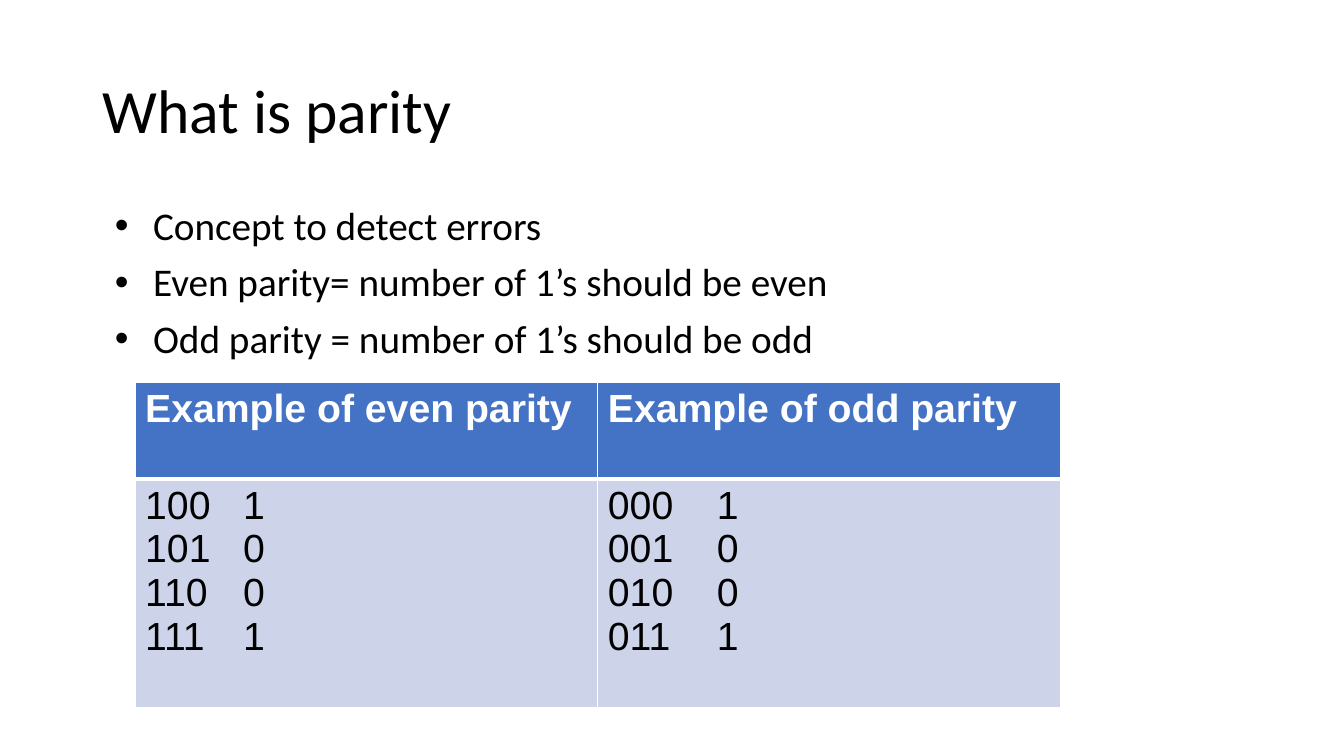
from lxml.etree import SubElement
from pptx import Presentation
from pptx.dml.color import RGBColor
from pptx.enum.text import MSO_ANCHOR as Anchor
from pptx.oxml.ns import qn
from pptx.util import Inches, Pt


def color(value):
    """Turn a hex string into a colour."""
    return RGBColor.from_string(value)


def add_text(p, text, size=28, font="Calibri", fill="000000", bold=False):
    """Write one formatted run into a paragraph."""
    r = p.add_run()
    r.text = text
    r.font.size, r.font.name, r.font.bold = Pt(size), font, bold
    r.font.color.rgb = color(fill)


def add_box(slide, box, anchor=Anchor.TOP):
    """Add a wrapping text box and return its text frame."""
    tf = slide.shapes.add_textbox(*map(Inches, box)).text_frame
    tf.word_wrap = True
    tf.vertical_anchor = anchor
    return tf


def add_lines(tf, lines, **fmt):
    """Fill a text frame with one paragraph per line."""
    for i, line in enumerate(lines):
        p = tf.add_paragraph() if i else tf.paragraphs[0]
        add_text(p, line, **fmt)
    return tf.paragraphs


def add_title(slide, box, text):
    """Place the slide title."""
    for p in add_lines(add_box(slide, box, Anchor.MIDDLE), [text], size=44):
        p.line_spacing = 0.9


def add_bullets(slide, box, lines):
    """Place the bulleted list."""
    for p in add_lines(add_box(slide, box), lines):
        p.line_spacing = 0.9
        p.space_before = Pt(10)
        pPr = p._p.get_or_add_pPr()
        pPr.set("marL", str(Inches(0.5)))
        pPr.set("indent", str(Inches(-0.38)))
        SubElement(pPr, qn("a:buFont"), typeface="Arial")
        SubElement(pPr, qn("a:buChar"), char="•")


def set_borders(cell, widths):
    """Give a cell white borders of the given point widths."""
    tcPr = cell._tc.get_or_add_tcPr()
    for i, (side, width) in enumerate(widths.items()):
        ln = SubElement(tcPr, qn(f"a:ln{side}"), w=str(Pt(width)))
        SubElement(SubElement(ln, qn("a:solidFill")), qn("a:srgbClr"), val="FFFFFF")
        tcPr.insert(i, ln)


def set_tab(p, position):
    """Put one left tab stop in a paragraph."""
    tabs = SubElement(p._p.get_or_add_pPr(), qn("a:tabLst"))
    SubElement(tabs, qn("a:tab"), pos=str(Inches(position)), algn="l")


def add_parity_table(slide, box, heights, columns):
    """Place the table of data bits and their parity bits."""
    table = slide.shapes.add_table(2, len(columns), *map(Inches, box)).table
    for row, height in zip(table.rows, heights):
        row.height = Inches(height)
    for c, (heading, tab, examples) in enumerate(columns):
        table.columns[c].width = Inches(box[2] / len(columns))
        head, body = table.cell(0, c), table.cell(1, c)
        for cell, fill in ((head, "4472C4"), (body, "CDD4EA")):
            cell.fill.solid()
            cell.fill.fore_color.rgb = color(fill)
        set_borders(head, {"L": 1, "R": 1, "T": 1, "B": 3})
        set_borders(body, {"L": 1, "R": 1, "T": 3, "B": 1})
        add_lines(head.text_frame, [heading], font="Arial", fill="FFFFFF", bold=True)
        lines = [f"{bits}\t{parity}" for bits, parity in examples]
        for p in add_lines(body.text_frame, lines, font="Arial"):
            set_tab(p, tab)


def main():
    """Build the parity slide."""
    prs = Presentation()
    prs.slide_width, prs.slide_height = Inches(13.33), Inches(7.5)
    slide = prs.slides.add_slide(prs.slide_layouts[6])
    add_title(slide, (0.92, 0.4, 11.5, 1.45), "What is parity")
    add_bullets(slide, (0.92, 2, 11.5, 4.76), [
        "Concept to detect errors",
        "Even parity= number of 1’s should be even",
        "Odd parity = number of 1’s should be odd",
    ])
    even = [("100", "1"), ("101", "0"), ("110", "0"), ("111", "1")]
    odd = [("000", "1"), ("001", "0"), ("010", "0"), ("011", "1")]
    add_parity_table(slide, (1.34, 3.79, 9.18, 3.23), (0.96, 2.27), [
        ("Example of even parity", 0.97, even),
        ("Example of odd parity", 1.08, odd),
    ])
    prs.save("out.pptx")


if __name__ == "__main__":
    main()
